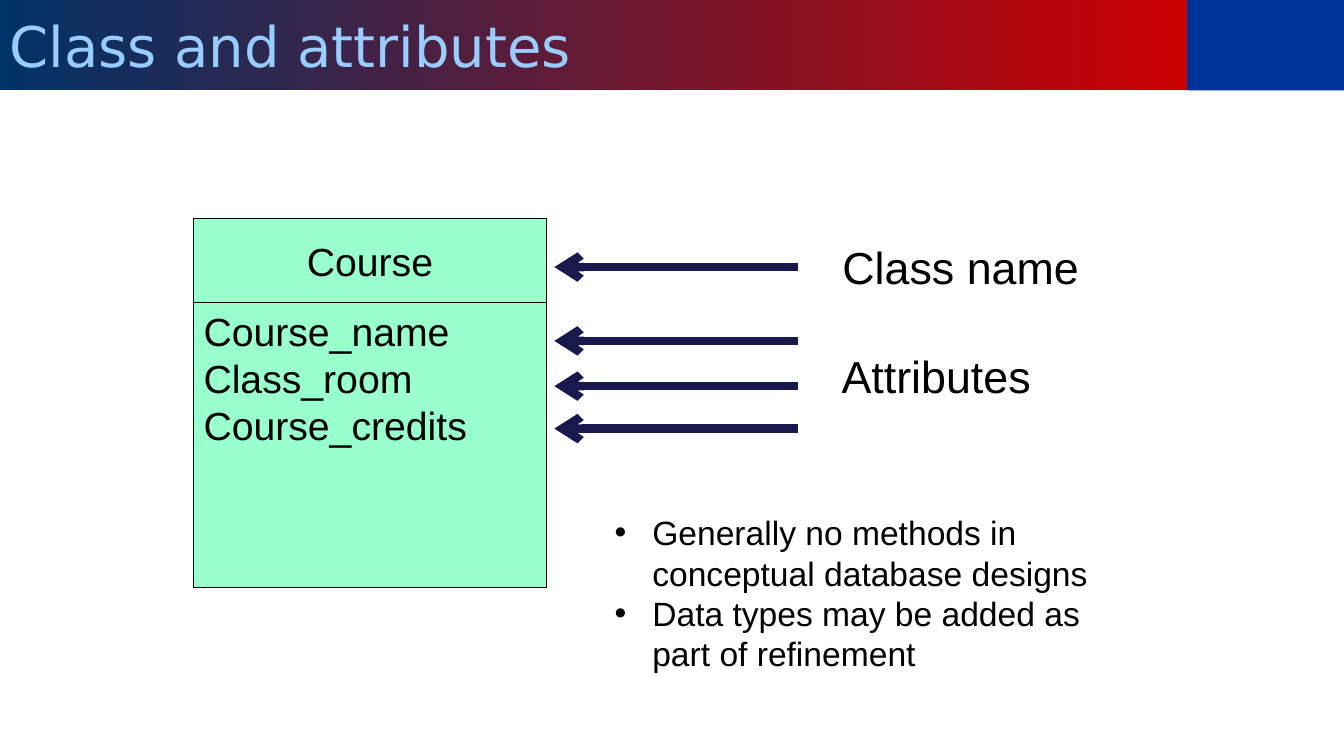
from lxml import etree
from pptx import Presentation
from pptx import util as u
from pptx.dml.color import RGBColor
from pptx.enum import shapes, text
from pptx.oxml.ns import qn


def color(hex_string):
    return RGBColor.from_string(hex_string)


def write(shape, lines, size, font="Arial", ink="000000", wrap=False,
          anchor=text.MSO_ANCHOR.TOP, align=text.PP_ALIGN.LEFT):
    """Fill a shape with one paragraph per line and return the paragraphs."""
    frame = shape.text_frame
    frame.word_wrap = wrap
    frame.vertical_anchor = anchor
    for number, line in enumerate(lines):
        paragraph = frame.add_paragraph() if number else frame.paragraphs[0]
        paragraph.alignment = align
        run = paragraph.add_run()
        run.text = line
        run.font.name = font
        run.font.size = u.Pt(size)
        run.font.color.rgb = color(ink)
    return frame.paragraphs


prs = Presentation()
prs.slide_width, prs.slide_height = u.Cm(33.87), u.Cm(19.05)
slide = prs.slides.add_slide(prs.slide_layouts[6])
RECT = shapes.MSO_SHAPE.RECTANGLE

# Header band
corner = slide.shapes.add_shape(RECT, u.Cm(29.92), 0, u.Cm(3.95), u.Cm(2.28))
corner.fill.solid()
corner.fill.fore_color.rgb = color("003399")

title = slide.shapes.add_shape(RECT, 0, 0, u.Cm(29.92), u.Cm(2.28))
title.fill.gradient()
title.fill.gradient_angle = 0
for stop, (position, shade) in zip(title.fill.gradient_stops,
                                   [(0, "003366"), (1, "CC0000")]):
    stop.position = position
    stop.color.rgb = color(shade)
write(title, ["Class and attributes"], 40, "DejaVu Sans", "99CCFF", True,
      text.MSO_ANCHOR.MIDDLE)

for band in (corner, title):
    band.shadow.inherit = False
    band.line.fill.background()

# Class box: name above, attributes below
class_left, class_width = u.Cm(4.88), u.Cm(8.89)
class_name = slide.shapes.add_shape(RECT, class_left, u.Cm(5.51), class_width, u.Cm(2.11))
attributes = slide.shapes.add_shape(RECT, class_left, u.Cm(7.62), class_width, u.Cm(7.19))
for compartment in (class_name, attributes):
    compartment.shadow.inherit = False
    compartment.fill.solid()
    compartment.fill.fore_color.rgb = color("99FFCC")
    compartment.line.color.rgb = color("000000")
    compartment.line.width = u.Pt(0.75)
write(class_name, ["Course"], 28, anchor=text.MSO_ANCHOR.MIDDLE,
      align=text.PP_ALIGN.CENTER)
write(attributes, ["Course_name", "Class_room", "Course_credits"], 28)

# Labels and the arrows that point at the class box
for label, left, top, width in [("Class name", 20.98, 5.92, 6.53),
                                ("Attributes", 20.96, 8.66, 5.33)]:
    caption = slide.shapes.add_textbox(u.Cm(left), u.Cm(top), u.Cm(width), u.Cm(1.63))
    write(caption, [label], 32)

for height in (6.73, 8.59, 9.73, 10.8):
    arrow = slide.shapes.add_connector(shapes.MSO_CONNECTOR.STRAIGHT, u.Cm(20.12),
                                       u.Cm(height), u.Cm(13.97), u.Cm(height))
    arrow.line.color.rgb = color("19194D")
    arrow.line.width = u.Pt(6)
    etree.SubElement(arrow.line._get_or_add_ln(), qn("a:tailEnd"), type="arrow")
    etree.SubElement(arrow._element.spPr, qn("a:effectLst"))

# Remarks
remarks = slide.shapes.add_textbox(u.Cm(15.24), u.Cm(12.78), u.Cm(12.85), u.Cm(4.37))
for remark in write(remarks, ["Generally no methods in conceptual database designs",
                              "Data types may be added as part of refinement"],
                    24, wrap=True):
    properties = remark._p.get_or_add_pPr()
    properties.set("marL", str(u.Cm(0.95)))
    properties.set("indent", str(-u.Cm(0.95)))
    etree.SubElement(properties, qn("a:buFont"), typeface="Arial")
    etree.SubElement(properties, qn("a:buChar"), char="•")

prs.save("out.pptx")
